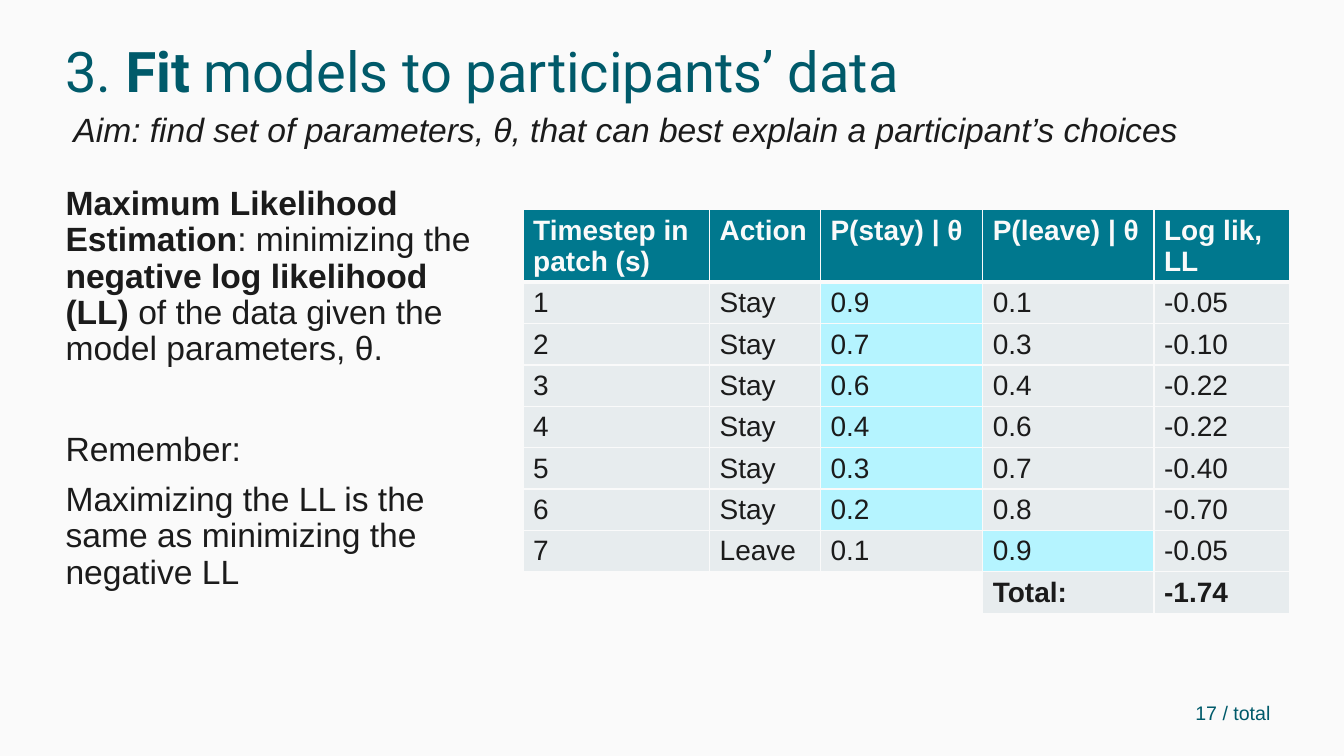
from pptx import Presentation
from pptx import util as u
from pptx.dml import color
from pptx.enum import text as t
from pptx.oxml import parse_xml
from pptx.oxml import ns
from lxml import etree

Pt = u.Pt
HUE = {"back": "FAFAFA", "ink": "1B1B1B", "deep": "005A6A",
       "head": "00788E", "cell": "E7ECEE", "mark": "B5F4FF"}

TITLE = [[("3. ", False), ("Fit", True), (" models to participants’ data", False)]]
AIM = [[("Aim: find set of parameters, θ, that can best explain a participant’s choices", False)]]
BODY = [
    [("Maximum Likelihood Estimation", True), (": minimizing the ", False),
     ("negative log likelihood (LL) ", True),
     ("of the data given the model parameters, θ.", False)],
    [("Remember:", False)],
    [("Maximizing the LL is the same as minimizing the negative LL", False)],
]
PAGE = [[("17 / total", False)]]

HEAD = ["Timestep in patch (s)", "Action", "P(stay) | θ", "P(leave) | θ", "Log lik, LL"]
STEPS = [
    ("Stay", "0.9", "0.1", "-0.05"),
    ("Stay", "0.7", "0.3", "-0.10"),
    ("Stay", "0.6", "0.4", "-0.22"),
    ("Stay", "0.4", "0.6", "-0.22"),
    ("Stay", "0.3", "0.7", "-0.40"),
    ("Stay", "0.2", "0.8", "-0.70"),
    ("Leave", "0.1", "0.9", "-0.05"),
]
TOTAL = ["", "", "", "Total:", "-1.74"]
COLS = [133.2, 79.2, 115.9, 122.4, 96.5]
HIGH, ROW = 51, 29.5


def rgb(name):
    return color.RGBColor.from_string(HUE[name])


def write(frame, paras, size=24, hue="ink", face="Arial", slant=False, line=None, gaps=()):
    for i, runs in enumerate(paras):
        para = frame.paragraphs[0] if i == 0 else frame.add_paragraph()
        para.alignment = t.PP_ALIGN.LEFT
        if line:
            para.line_spacing = line
        para.space_before = Pt(gaps[i] if gaps else 0)
        for words, bold in runs:
            run = para.add_run()
            run.text = words
            font = run.font
            font.size, font.name = Pt(size), face
            font.bold, font.italic = bold, slant
            font.color.rgb = rgb(hue)


def place(shape, x, y, w, h):
    shape.left, shape.top, shape.width, shape.height = Pt(x), Pt(y), Pt(w), Pt(h)


def edge(cell, side, width):
    cell._tc.get_or_add_tcPr().append(parse_xml(
        f'<a:{side} {ns.nsdecls("a")} w="{Pt(width)}"><a:solidFill>'
        f'<a:srgbClr val="{HUE["back"]}"/></a:solidFill></a:{side}>'))


def box(slide, at, paras, wrap, **look):
    shape = slide.shapes.add_textbox(*map(Pt, at))
    shape.text_frame.word_wrap = wrap
    write(shape.text_frame, paras, **look)


def grid(slide):
    rows = [HEAD] + [(str(n), *step) for n, step in enumerate(STEPS, 1)] + [TOTAL]
    last = len(rows) - 1
    table = slide.shapes.add_table(
        len(rows), len(COLS), Pt(373.7), Pt(149.8), Pt(sum(COLS)), Pt(HIGH + last * ROW)).table
    table.first_row = table.horz_banding = False
    for col, wide in zip(table.columns, COLS):
        col.width = Pt(wide)
    for r, row in enumerate(rows):
        table.rows[r].height = Pt(HIGH if r == 0 else ROW)
        pick = {"Stay": 2, "Leave": 3}.get(row[1])
        for c, words in enumerate(row):
            cell = table.cell(r, c)
            for side in ("lnL", "lnR", "lnT", "lnB"):
                thick = (r, side) in ((0, "lnB"), (1, "lnT"))
                edge(cell, side, 3 if thick else 1)
            fill = "head" if r == 0 else "mark" if c == pick else "cell" if words else "back"
            cell.fill.solid()
            cell.fill.fore_color.rgb = rgb(fill)
            if words:
                write(cell.text_frame, [[(words, r in (0, last))]], size=20,
                      hue="back" if r == 0 else "ink")


def main():
    deck = Presentation()
    deck.slide_width, deck.slide_height = Pt(960), Pt(540)
    slide = deck.slides.add_slide(deck.slide_layouts[1])
    slide.background.fill.solid()
    slide.background.fill.fore_color.rgb = rgb("back")

    title, body = slide.shapes.title, slide.placeholders[1]
    place(title, 39.6, 34.6, 781.2, 37.4)
    place(body, 39.6, 129.6, 306, 344.9)
    for shape, side in ((title, t.MSO_ANCHOR.MIDDLE), (body, t.MSO_ANCHOR.TOP)):
        frame = shape.text_frame
        frame.word_wrap = True
        frame.auto_size = t.MSO_AUTO_SIZE.NONE
        frame.vertical_anchor = side
    write(title.text_frame, TITLE, size=40, hue="deep", face="Roboto", line=0.9)
    write(body.text_frame, BODY, line=0.9, gaps=(0, 46, 10))
    for para in body.text_frame.paragraphs:
        props = para._p.get_or_add_pPr()
        props.set("marL", "0")
        props.set("indent", "0")
        etree.SubElement(props, ns.qn("a:buNone"))

    grid(slide)
    box(slide, (45.4, 74.2, 811.4, 36), AIM, False, slant=True)
    box(slide, (846.7, 496.8, 113, 24.5), PAGE, True, size=14, hue="deep")
    deck.save("out.pptx")


if __name__ == "__main__":
    main()
